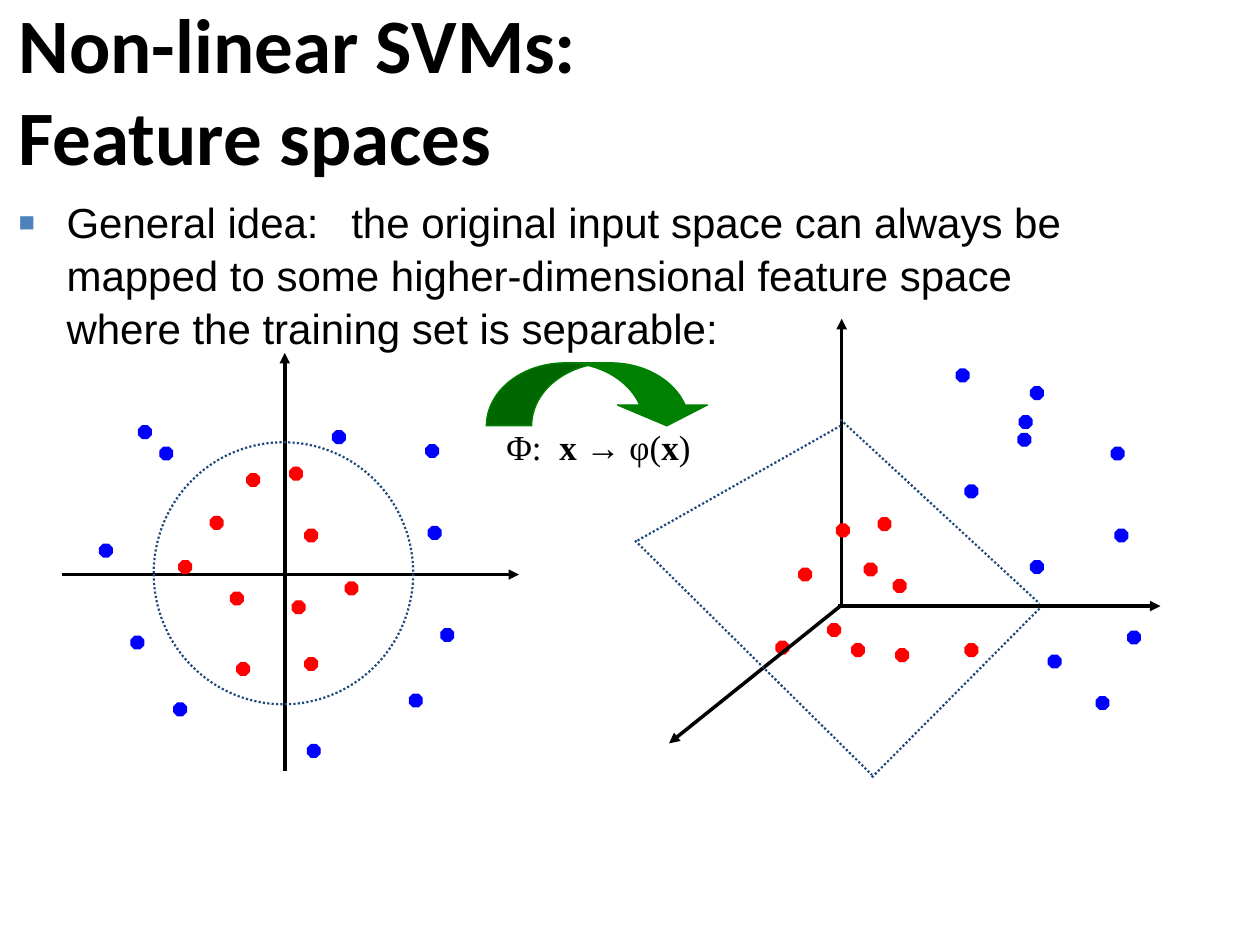
from lxml import etree
from pptx import Presentation
from pptx.dml.color import RGBColor
from pptx.enum import dml, shapes, text
from pptx.oxml import ns
from pptx.util import Inches, Pt

BLACK = RGBColor(0x00, 0x00, 0x00)
RED = RGBColor(0xFF, 0x00, 0x00)
BLUE = RGBColor(0x00, 0x00, 0xFF)
GREEN = RGBColor(0x00, 0x80, 0x00)
NAVY = RGBColor(0x1F, 0x49, 0x7D)
BULLET_HEX = "4F81BD"

DOT = 0.1

INPUT_AXES = [(2.26, 6.12, 2.26, 2.8), (0.49, 4.56, 4.12, 4.56)]
INPUT_RED = [(2.3, 3.71), (1.67, 4.1), (1.83, 4.7), (2.42, 5.22), (1.96, 3.76),
             (1.42, 4.45), (1.88, 5.26), (2.42, 4.2), (2.74, 4.62), (2.32, 4.77)]
INPUT_BLUE = [(3.4, 4.18), (3.25, 5.51), (0.79, 4.32), (2.44, 5.91), (3.5, 4.99),
              (1.38, 5.58), (1.04, 5.05), (1.1, 3.38), (2.64, 3.42), (1.27, 3.55),
              (3.38, 3.53)]

FEATURE_AXES = [(6.68, 4.79, 6.68, 2.53), (6.65, 4.81, 9.21, 4.81)]
DEPTH_AXIS = (6.67, 4.81, 5.31, 5.9)
FEATURE_RED = [(6.97, 4.11), (6.34, 4.51), (6.76, 5.11), (7.66, 5.11), (6.64, 4.16),
               (6.86, 4.47), (7.11, 5.15), (7.09, 4.6), (6.57, 4.95), (6.16, 5.09)]
FEATURE_BLUE = [(8.85, 4.2), (8.7, 5.53), (8.18, 3.07), (8.18, 4.45), (8.95, 5.01),
                (7.66, 3.85), (8.32, 5.2), (8.09, 3.3), (8.08, 3.44), (7.59, 2.93),
                (8.82, 3.55)]
PLANE_EDGES = [(6.67, 3.33, 8.25, 4.79), (6.92, 6.17, 8.25, 4.83),
               (5.06, 4.29, 6.67, 3.38), (5.04, 4.29, 6.92, 6.15)]


def add_element(parent, tag, **attributes):
    child = etree.SubElement(parent, ns.qn(tag))
    for name, value in attributes.items():
        child.set(name, value)
    return child


def add_box(page, left, top, width, height, anchor=text.MSO_ANCHOR.TOP):
    box = page.shapes.add_textbox(Inches(left), Inches(top), Inches(width), Inches(height))
    frame = box.text_frame
    frame.word_wrap = True
    frame.vertical_anchor = anchor
    return frame


def add_span(para, words, font, size, bold=False):
    span = para.add_run()
    span.text = words
    span.font.name = font
    span.font.size = Pt(size)
    span.font.bold = bold
    span.font.color.rgb = BLACK


def add_tab_stop(para, position):
    stops = add_element(para._p.get_or_add_pPr(), "a:tabLst")
    add_element(stops, "a:tab", pos=str(Inches(position)), algn="l")


def add_square_bullet(para, indent):
    properties = para._p.get_or_add_pPr()
    properties.set("marL", str(Inches(indent)))
    properties.set("indent", str(-Inches(indent)))
    color = add_element(properties, "a:buClr")
    add_element(color, "a:srgbClr", val=BULLET_HEX)
    add_element(properties, "a:buSzPct", val="65000")
    add_element(properties, "a:buFont", typeface="Arial")
    add_element(properties, "a:buChar", char="■")


def add_title(page):
    frame = add_box(page, 0.05, 0.29, 8.5, 0.83, text.MSO_ANCHOR.MIDDLE)
    add_span(frame.paragraphs[0], "Non-linear SVMs:", "Calibri", 44, bold=True)
    add_span(frame.add_paragraph(), "Feature spaces", "Calibri", 44, bold=True)


def add_idea(page):
    para = add_box(page, 0.05, 1.49, 9, 5.5).paragraphs[0]
    add_square_bullet(para, 0.38)
    add_tab_stop(para, 2.64)
    para.line_spacing = 1.05
    add_span(para, "General idea:\tthe original input space can always be mapped to some "
                   "higher-dimensional feature space where the training set is separable:",
             "Arial", 24)


def add_mapping_formula(page):
    para = add_box(page, 3.92, 3.33, 2.08, 0.43).paragraphs[0]
    add_tab_stop(para, 0.42)
    for words, bold in [("Φ:\t", False), ("x → ", True), ("φ(", False),
                        ("x", True), (")", False)]:
        add_span(para, words, "Times New Roman", 20, bold)


def add_outline(page, kind, left, top, width, height, color, weight):
    """Add an unfilled preset shape."""
    shape = page.shapes.add_shape(kind, Inches(left), Inches(top),
                                  Inches(width), Inches(height))
    shape.shadow.inherit = False
    shape.fill.background()
    shape.line.color.rgb = color
    shape.line.width = Pt(weight)
    return shape


def add_solid(page, kind, left, top, width, height, color):
    shape = add_outline(page, kind, left, top, width, height, color, 0.75)
    shape.fill.solid()
    shape.fill.fore_color.rgb = color
    return shape


def add_dots(page, places, color):
    for left, top in places:
        add_solid(page, shapes.MSO_SHAPE.OCTAGON, left, top, DOT, DOT, color)


def add_line(page, ends, color, weight):
    line = page.shapes.add_connector(shapes.MSO_CONNECTOR.STRAIGHT,
                                     *(Inches(value) for value in ends))
    line.line.color.rgb = color
    line.line.width = Pt(weight)
    add_element(line._element.spPr, "a:effectLst")
    return line


def add_axis(page, ends):
    axis = add_line(page, ends, BLACK, 2)
    add_element(axis.line._get_or_add_ln(), "a:tailEnd", type="triangle")


def add_input_space(page):
    for ends in INPUT_AXES:
        add_axis(page, ends)
    add_dots(page, INPUT_RED, RED)
    add_dots(page, INPUT_BLUE, BLUE)
    circle = add_outline(page, shapes.MSO_SHAPE.OVAL, 1.22, 3.51, 2.06, 2.08, NAVY, 1.25)
    circle.line.dash_style = dml.MSO_LINE.ROUND_DOT


def add_feature_space(page):
    for ends in FEATURE_AXES:
        add_axis(page, ends)
    add_dots(page, FEATURE_RED, RED)
    add_dots(page, FEATURE_BLUE, BLUE)
    add_axis(page, DEPTH_AXIS)
    for ends in PLANE_EDGES:
        add_line(page, ends, NAVY, 1.25).line.dash_style = dml.MSO_LINE.ROUND_DOT


def add_mapping_arrow(page):
    arrow = add_solid(page, shapes.MSO_SHAPE.CURVED_DOWN_ARROW, 3.86, 2.88, 1.79, 0.5, GREEN)
    for index, value in enumerate((0.72, 1.43, 0.33)):
        arrow.adjustments[index] = value


def main():
    deck = Presentation()
    deck.slide_width, deck.slide_height = Inches(10), Inches(7.5)
    page = deck.slides.add_slide(deck.slide_layouts[6])
    add_title(page)
    add_idea(page)
    add_input_space(page)
    add_feature_space(page)
    add_mapping_arrow(page)
    add_mapping_formula(page)
    deck.save("out.pptx")


if __name__ == "__main__":
    main()
